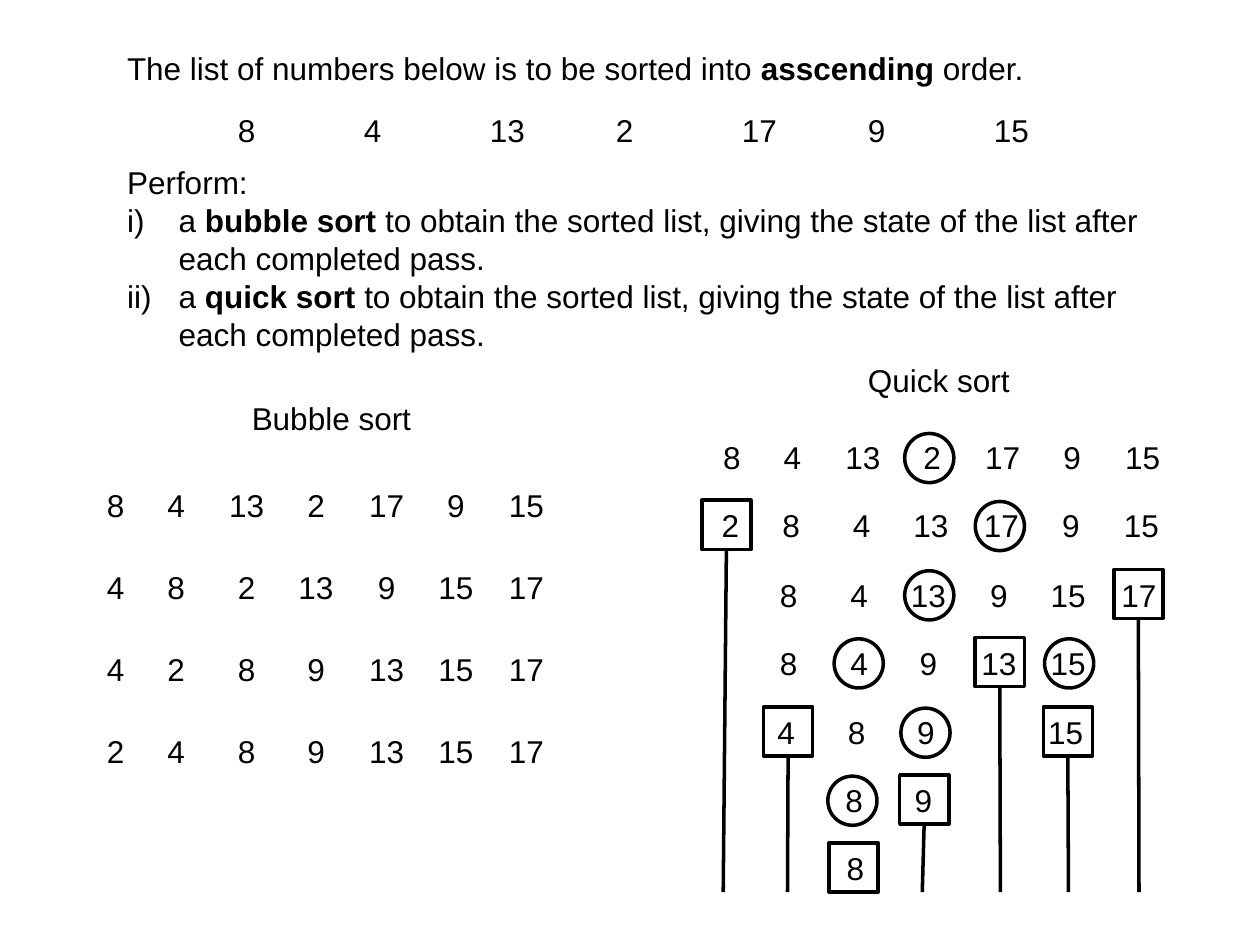
from lxml import etree
from pptx import Presentation, util as u
from pptx.dml.color import RGBColor
from pptx.enum import shapes, text
from pptx.oxml.ns import qn

COLORS = {"ink": "000000"}
FONT, SIZE = "Arial", 18
MARK = 0.39
POLE_END = 7.08
LIST_STOPS = [(n, "l") for n in range(1, 7)]
COLUMN_STOPS = [(round(0.55 + 0.556 * n, 2), "ctr") for n in range(6)]
UNSORTED = "8 4 13 2 17 9 15".split()
BUBBLE_PASSES = [
    UNSORTED,
    "4 8 2 13 9 15 17".split(),
    "4 2 8 9 13 15 17".split(),
    "2 4 8 9 13 15 17".split(),
]
QUICK_PASSES = [
    {"left": 5.64, "values": UNSORTED, "pivots": [7.18]},
    {"left": 5.63, "values": "2 8 4 13 17 9 15".split(), "pivots": [7.74], "placed": [(5.57, 5.74)]},
    {"left": 5.61, "values": ["", "8", "4", "13", "9", "15", "17"], "pivots": [7.18], "placed": [(8.84, 9.04)]},
    {"left": 5.61, "values": ["", "8", "4", "9", "13", "15"], "pivots": [6.62, 8.29], "placed": [(7.74, 7.94)]},
    {"left": 5.59, "values": ["", "4", "8", "9", "", "15"], "pivots": [7.15], "placed": [(6.06, 6.25), (8.28, 8.48)]},
    {"left": 5.57, "values": ["", "", "8", "9"], "pivots": [6.57], "placed": [(7.14, 7.32)]},
    {"left": 5.58, "values": ["", "", "8"], "placed": [(6.58, None)]},
]
TASKS = ["bubble sort", "quick sort"]


def ink():
    """Return the drawing colour."""
    return RGBColor.from_string(COLORS["ink"])


def style(paragraph):
    """Apply the common font to a paragraph."""
    paragraph.font.name = FONT
    paragraph.font.size = u.Pt(SIZE)
    paragraph.font.color.rgb = ink()


def add_box(slide, left, top, width, height):
    """Add a wrapping text box and return its frame."""
    frame = slide.shapes.add_textbox(*map(u.Inches, (left, top, width, height))).text_frame
    frame.word_wrap = True
    return frame


def add_label(slide, left, top, width, words, stops=()):
    """Add one line of text, with optional tab stops."""
    paragraph = add_box(slide, left, top, width, 0.4).paragraphs[0]
    paragraph.text = words
    if stops:
        tabs = etree.SubElement(paragraph._p.get_or_add_pPr(), qn("a:tabLst"))
        for position, align in stops:
            etree.SubElement(tabs, qn("a:tab"), pos=str(u.Inches(position)), algn=align)
    style(paragraph)


def add_numbers(slide, left, top, values, stops=COLUMN_STOPS, width=3.8):
    """Add a row of numbers in tabbed columns."""
    add_label(slide, left, top, width, "\t".join(values), stops)


def add_runs(paragraph, before, strong, after):
    """Fill a paragraph with a bold phrase between plain words."""
    for words, bold in ((before, False), (strong, True), (after, False)):
        run = paragraph.add_run()
        run.text = words
        run.font.bold = bold


def add_question(slide):
    """Add the question with its numbered tasks."""
    frame = add_box(slide, 0.91, 0.34, 8.58, 2.5)
    frame.vertical_anchor = text.MSO_ANCHOR.MIDDLE
    intro = frame.paragraphs[0]
    add_runs(intro, "The list of numbers below is to be sorted into ", "asscending ", "order.")
    perform = frame.add_paragraph()
    perform.text = "Perform:"
    perform.space_before = u.Pt(43.4)
    for task in TASKS:
        item = frame.add_paragraph()
        add_runs(item, "a ", task, " to obtain the sorted list, giving the state of the list after each completed pass.")
        properties = item._p.get_or_add_pPr()
        properties.set("marL", str(u.Inches(0.41)))
        properties.set("indent", str(u.Inches(-0.41)))
        etree.SubElement(properties, qn("a:buFont"), typeface="+mj-lt")
        etree.SubElement(properties, qn("a:buAutoNum"), type="romanLcParenR")
    for paragraph in frame.paragraphs:
        paragraph.line_spacing = u.Pt(21.7)
        style(paragraph)


def add_mark(slide, kind, left, top):
    """Outline one number with a circle or a square."""
    mark = slide.shapes.add_shape(kind, *map(u.Inches, (left, top, MARK, MARK)))
    mark.shadow.inherit = False
    mark.fill.background()
    mark.line.color.rgb = ink()
    mark.line.width = u.Pt(2)
    return mark


def add_pole(slide, placed, end_x):
    """Draw the line that carries a placed number to the bottom."""
    pole = slide.shapes.add_connector(
        shapes.MSO_CONNECTOR.STRAIGHT, placed.left, placed.top, u.Inches(end_x), u.Inches(POLE_END))
    pole.begin_connect(placed, 2)
    pole.line.color.rgb = ink()
    pole.line.width = u.Pt(2)
    etree.SubElement(pole._element.spPr, qn("a:effectLst"))


def add_quick_pass(slide, top, state):
    """Add one quick sort pass with its pivots and placed numbers."""
    add_numbers(slide, state["left"], top, state["values"])
    for left in state.get("pivots", []):
        add_mark(slide, shapes.MSO_SHAPE.OVAL, left, top + 0.01)
    for left, end_x in state.get("placed", []):
        placed = add_mark(slide, shapes.MSO_SHAPE.RECTANGLE, left, top)
        if end_x:
            add_pole(slide, placed, end_x)


def main():
    """Build and save the slide."""
    deck = Presentation()
    deck.slide_width, deck.slide_height = u.Inches(10), u.Inches(7.5)
    slide = deck.slides.add_slide(deck.slide_layouts[6])
    add_question(slide)
    add_numbers(slide, 1.79, 0.83, UNSORTED, LIST_STOPS, 6.8)
    add_label(slide, 1.9, 3.12, 1.6, "Bubble sort")
    for index, values in enumerate(BUBBLE_PASSES):
        add_numbers(slide, 0.75, 3.81 + 0.65 * index, values)
    add_label(slide, 6.79, 2.82, 1.5, "Quick sort")
    for index, state in enumerate(QUICK_PASSES):
        add_quick_pass(slide, round(3.43 + 0.544 * index, 2), state)
    deck.save("out.pptx")


if __name__ == "__main__":
    main()
